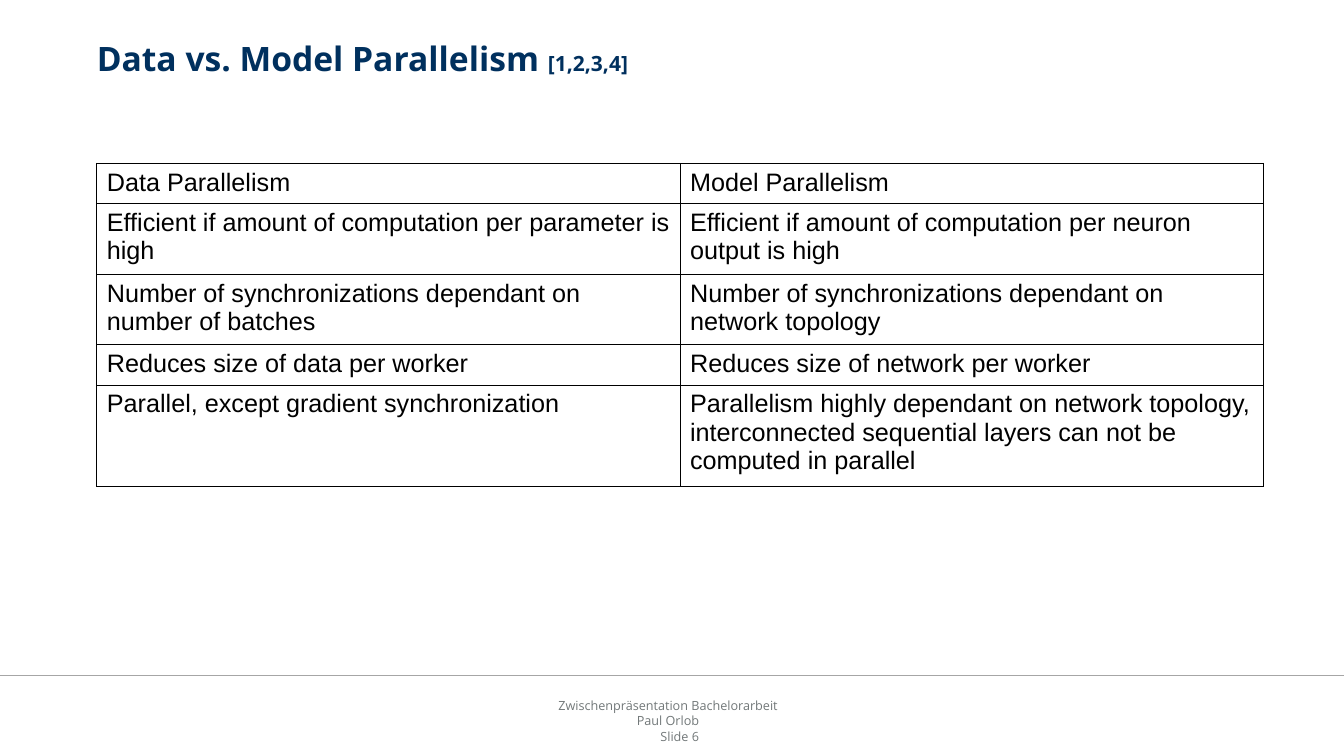
from lxml.etree import SubElement
from pptx import Presentation
from pptx.dml.color import RGBColor
from pptx.enum.shapes import MSO_CONNECTOR
from pptx.enum.text import MSO_ANCHOR, PP_ALIGN
from pptx.oxml import parse_xml
from pptx.oxml.ns import nsdecls, qn
from pptx.util import Inches, Pt

COLORS = {"title": "00305E", "text": "000000", "foot": "727879", "rule": "A6A6A6"}
WIDE, HIGH = 13.33, 7.5
LEFT, SPAN = 0.96, 11.57

deck = Presentation()
deck.slide_width, deck.slide_height = Inches(WIDE), Inches(HIGH)
slide = deck.slides.add_slide(deck.slide_layouts[5])


def write(para, text, size=18, font="Open Sans", color="text", bold=False, align=PP_ALIGN.LEFT):
    para.alignment = align
    run = para.add_run()
    run.text = text
    run.font.size, run.font.name, run.font.bold = Pt(size), font, bold
    run.font.color.rgb = RGBColor.from_string(COLORS[color])


def frame(shape, x, y, w, h):
    shape.left, shape.top, shape.width, shape.height = map(Inches, (x, y, w, h))
    body = shape.text_frame
    body.margin_left = body.margin_right = body.margin_top = body.margin_bottom = 0
    body.word_wrap, body.vertical_anchor = True, MSO_ANCHOR.TOP
    return body


# Title
title = frame(slide.shapes.title, LEFT, 0.38, SPAN, 0.75).paragraphs[0]
write(title, "Data vs. Model Parallelism ", size=24, color="title", bold=True)
write(title, "[1,2,3,4]", size=15, color="title", bold=True)

# Comparison table: a row is one base height plus a step per extra line
rows = [
    (1, "Data Parallelism", "Model Parallelism"),
    (2, "Efficient if amount of computation per parameter is high",
     "Efficient if amount of computation per neuron output is high"),
    (2, "Number of synchronizations dependant on number of batches",
     "Number of synchronizations dependant on network topology"),
    (1, "Reduces size of data per worker", "Reduces size of network per worker"),
    (3, "Parallel, except gradient synchronization",
     "Parallelism highly dependant on network topology, "
     "interconnected sequential layers can not be computed in parallel"),
]
tall = [0.4 + 0.3 * (lines - 1) for lines, *_ in rows]
grid = slide.shapes.add_table(len(rows), 2, Inches(LEFT), Inches(1.62),
                              Inches(SPAN), Inches(sum(tall))).table
grid.first_row = grid.horz_banding = False
for r, (lines, *texts) in enumerate(rows):
    grid.rows[r].height = Inches(tall[r])
    for c, text in enumerate(texts):
        cell = grid.cell(r, c)
        write(cell.text_frame.paragraphs[0], text, font="Arial")
        cell.fill.background()
        props = cell.fill._xPr
        for spot, side in enumerate(("lnL", "lnR", "lnT", "lnB")):
            props.insert(spot, parse_xml(
                f'<a:{side} {nsdecls("a")} w="{Pt(0.57)}"><a:solidFill>'
                f'<a:srgbClr val="{COLORS["text"]}"/></a:solidFill></a:{side}>'))

# Footer rule
rule = slide.shapes.add_connector(MSO_CONNECTOR.STRAIGHT, 0, Inches(6.7),
                                  deck.slide_width, Inches(6.7))
rule.line.color.rgb = RGBColor.from_string(COLORS["rule"])
rule.line.width = Pt(1)
SubElement(rule._element.spPr, qn("a:effectLst"))

# Footer text and slide number
foot = frame(slide.shapes.add_textbox(0, 0, 0, 0), 2.69, 6.92, 7.87, 0.3)
style = dict(size=9, color="foot")
write(foot.paragraphs[0], "Zwischenpräsentation Bachelorarbeit", align=PP_ALIGN.CENTER, **style)
write(foot.add_paragraph(), "Paul Orlob", align=PP_ALIGN.CENTER, **style)
page = frame(slide.shapes.add_textbox(0, 0, 0, 0), 6.55, 7.23, 0.52, 0.18)
write(page.paragraphs[0], "Slide 6", **style)

deck.save("out.pptx")
